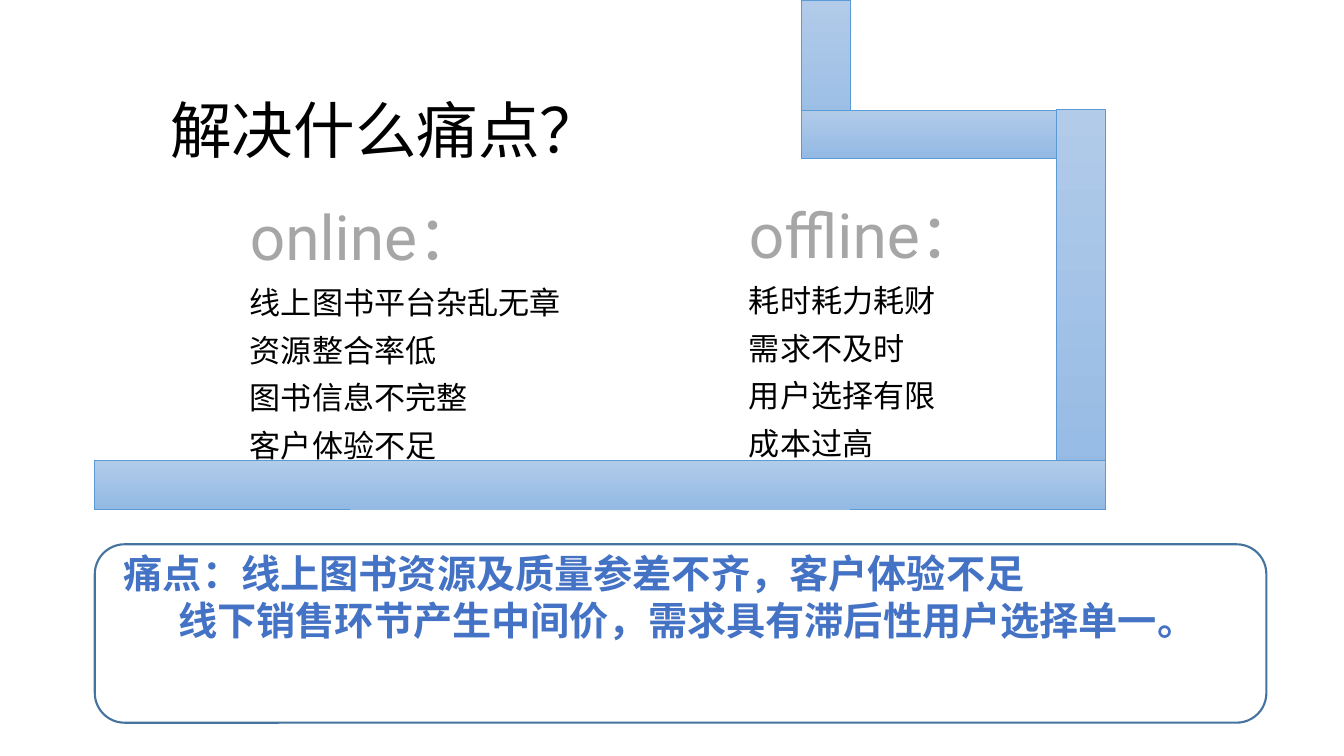
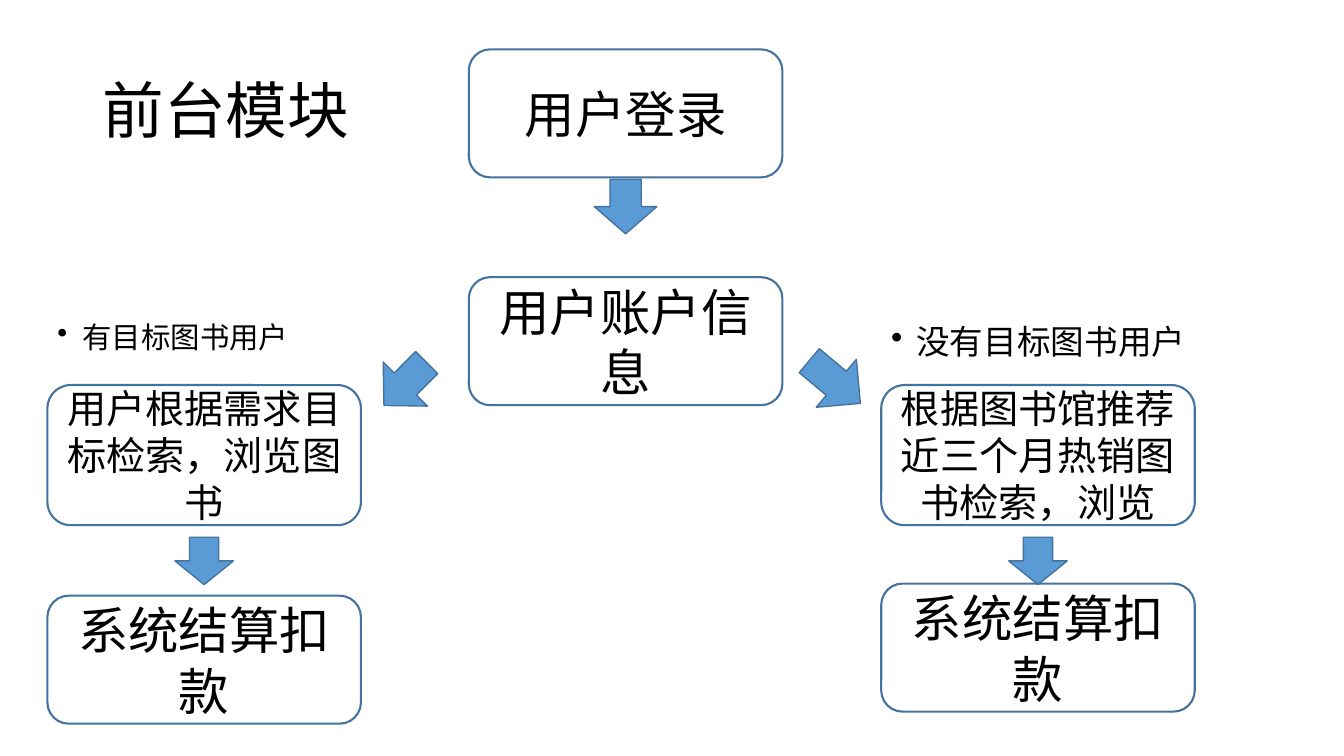
import pptx
import pptx.util
import pptx.dml.color
import pptx.enum.shapes
import pptx.enum.text
from lxml import etree

Inches = pptx.util.Inches
Pt = pptx.util.Pt
Shape = pptx.enum.shapes.MSO_SHAPE
Align = pptx.enum.text.PP_ALIGN
Anchor = pptx.enum.text.MSO_ANCHOR

HEX = {
    "ink": "000000", "gray": "A6A6A6", "claim": "4472C4", "arrow": "5B9BD5",
    "edge": "43739E", "light": "B1CBE9", "deep": "93B9E4",
}
CJK = "Noto Sans CJK SC"
LATIN = "Calibri"
HEAD = "Roboto"
BAND = 0.48
NODE_W, NODE_H = 3.11, 1.27


def color(name):
    return pptx.dml.color.RGBColor.from_string(HEX[name])


def style(para, size, font=CJK, ink="ink", bold=False):
    """Set the paragraph's font for Latin and East Asian text alike."""
    para.font.size = Pt(size)
    para.font.bold = bold
    para.font.color.rgb = color(ink)
    para.font.name = font
    latin = para.font._element.find(pptx.oxml.ns.qn("a:latin"))
    east = etree.Element(pptx.oxml.ns.qn("a:ea"), typeface=font)
    latin.addnext(east)


def indent(para, left, first=0, mark=None):
    """Indent the paragraph, with a bullet if a mark is given."""
    props = para._p.get_or_add_pPr()
    props.set("marL", str(Inches(left)))
    props.set("indent", str(Inches(first)))
    if mark:
        bullet = etree.Element(pptx.oxml.ns.qn("a:buChar"), char=mark)
        props.find(pptx.oxml.ns.qn("a:defRPr")).addprevious(bullet)


def write(slide, box, lines, anchor=Anchor.TOP):
    """Add a text box and return its paragraphs."""
    frame = slide.shapes.add_textbox(*map(Inches, box)).text_frame
    frame.word_wrap = True
    frame.vertical_anchor = anchor
    frame.text = "\n".join(lines)
    return frame.paragraphs


def title(slide, left, top, text, font):
    para = write(slide, (left, top, 11.5, 1.45), [text], Anchor.MIDDLE)[0]
    para.line_spacing = 0.9
    style(para, 44, font)


def draw(slide, kind, box, edge="edge", width=1.5):
    shape = slide.shapes.add_shape(kind, *map(Inches, box))
    shape.shadow.inherit = False
    shape.fill.background()
    shape.line.color.rgb = color(edge)
    shape.line.width = Pt(width)
    return shape


def band(slide, box):
    fill = draw(slide, Shape.RECTANGLE, box, "arrow", 0.5).fill
    fill.gradient()
    fill.gradient_angle = 270
    for stop, name in zip(fill.gradient_stops, ("light", "deep")):
        stop.color.rgb = color(name)


def path_bands(slide, left, top, right, base, bend):
    """Draw the stepped band: down, right, down, then back along the base."""
    side = right - BAND
    band(slide, (bend, 0, BAND, top + BAND))
    band(slide, (bend, top, right - bend, BAND))
    band(slide, (side, top, BAND, base + BAND - top))
    band(slide, (left, base, right - left, BAND))


def pains(slide, box, head, items):
    paras = write(slide, box, [head, *items])
    for para in paras:
        para.line_spacing = 0.9
        para.space_before = Pt(10)
        style(para, 22.2)
    style_head = paras[0]
    style_head.font._element.remove(
        style_head.font._element.find(pptx.oxml.ns.qn("a:ea")))
    style(style_head, 44.4, HEAD, "gray")


def claim(slide, box, lines):
    left, top, width, height = box
    paras = write(slide, (left + 0.19, top, width - 0.19, 1.04), lines)
    for para in paras:
        style(para, 28, ink="claim", bold=True)
    indent(paras[1], 0.54)
    draw(slide, Shape.ROUNDED_RECTANGLE, box)


def node(slide, left, top, text, size=36, height=NODE_H):
    box = (left, top, NODE_W, height)
    frame = draw(slide, Shape.ROUNDED_RECTANGLE, box).text_frame
    frame.word_wrap = True
    frame.vertical_anchor = Anchor.MIDDLE
    frame.text = text
    frame.paragraphs[0].alignment = Align.CENTER
    style(frame.paragraphs[0], size)


def arrow(slide, box, turn=0):
    shape = draw(slide, Shape.DOWN_ARROW, box, width=1)
    shape.fill.solid()
    shape.fill.fore_color.rgb = color("arrow")
    shape.rotation = turn


def drop(slide, left, top, width, height):
    """Place a down arrow under the middle of the node at left."""
    arrow(slide, (left + (NODE_W - width) / 2, top, width, height))


def login(slide, left, top):
    node(slide, left, top, "用户登录")
    drop(slide, left, top + 1.29, 0.62, 0.54)
    node(slide, left, top + 2.26, "用户账户信息")


def branch(slide, left, top, label, size, space, step, last):
    """Stack a bulleted label, a step, an arrow and the payment node."""
    para = write(slide, (left, top, 4.25, 0.41), [label])[0]
    para.line_spacing = space
    para.space_before = Pt(10)
    style(para, size, LATIN)
    indent(para, 0.25, -0.25, "•")
    node(slide, left, top + 0.64, step, 28, 1.39)
    drop(slide, left, top + 2.15, 0.58, 0.47)
    node(slide, left, top + last, "系统结算扣款")


def pain_slide(slide):
    title(slide, 1.59, 0.6, "解决什么痛点？", CJK)
    pains(slide, (2.38, 2, 4.01, 2.57), "online：",
          ["线上图书平台杂乱无章", "资源整合率低", "图书信息不完整", "客户体验不足"])
    pains(slide, (7.33, 1.98, 3.62, 2.74), "offline：",
          ["耗时耗力耗财", "需求不及时", "用户选择有限", "成本过高"])
    path_bands(slide, left=0.94, top=1.09, right=10.96, base=4.57, bend=7.95)
    claim(slide, (0.94, 5.4, 11.62, 1.77),
          ["痛点：线上图书资源及质量参差不齐，客户体验不足",
           "线下销售环节产生中间价，需求具有滞后性用户选择单一。"])


def flow_slide(slide):
    title(slide, 0.92, 0.4, "前台模块", LATIN)
    login(slide, 4.65, 0.49)
    arrow(slide, (3.71, 3.51, 0.62, 0.6), 44.9)
    arrow(slide, (7.97, 3.46, 0.62, 0.66), 309.9)
    branch(slide, 0.47, 3.18, "有目标图书用户", 21, 0.8,
           "用户根据需求目标检索，浏览图书", 2.73)
    branch(slide, 8.74, 3.18, "没有目标图书用户", 24, 0.9,
           "根据图书馆推荐近三个月热销图书检索，浏览", 2.61)


def main():
    deck = pptx.Presentation()
    deck.slide_width = Inches(13.33)
    deck.slide_height = Inches(7.5)
    for build in (pain_slide, flow_slide):
        build(deck.slides.add_slide(deck.slide_layouts[6]))
    deck.save("out.pptx")


if __name__ == "__main__":
    main()
